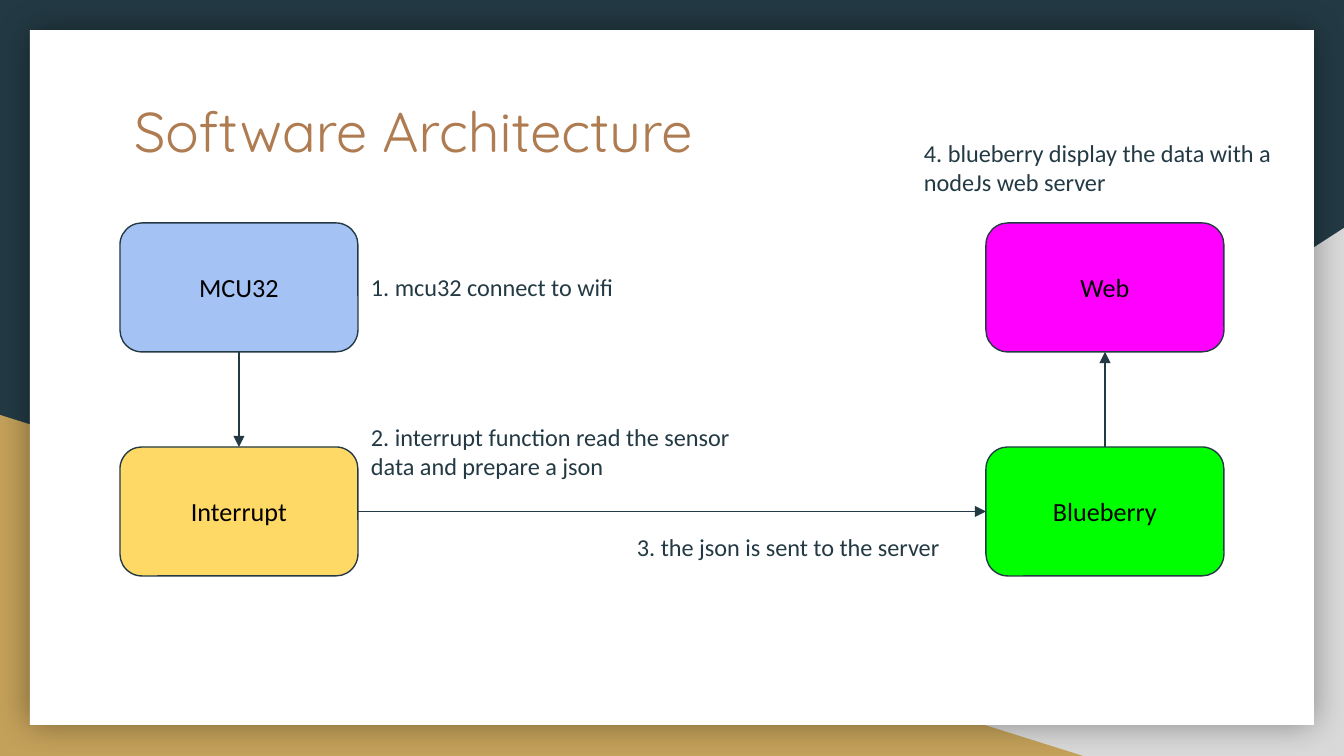
from lxml import etree
from pptx import Presentation
from pptx.dml.color import RGBColor
from pptx.enum.shapes import MSO_CONNECTOR, MSO_SHAPE
from pptx.enum.text import MSO_ANCHOR, MSO_AUTO_SIZE, PP_ALIGN
from pptx.oxml.ns import qn
from pptx.util import Emu, Pt

STRAIGHT = MSO_CONNECTOR.STRAIGHT
RECTANGLE = MSO_SHAPE.RECTANGLE
ROUNDED = MSO_SHAPE.ROUNDED_RECTANGLE
TRIANGLE = MSO_SHAPE.RIGHT_TRIANGLE
TOP, MIDDLE = MSO_ANCHOR.TOP, MSO_ANCHOR.MIDDLE
GROW, FIXED = MSO_AUTO_SIZE.SHAPE_TO_FIT_TEXT, MSO_AUTO_SIZE.NONE
LEFT, CENTER = PP_ALIGN.LEFT, PP_ALIGN.CENTER

SCALE = 914400 / 134.4
COLORS = {
    "navy": "233A44", "gray": "D9D9D9", "gold": "C4A15A", "white": "FFFFFF",
    "copper": "AF7B51", "black": "000000", "blue": "A4C2F4",
    "yellow": "FFD966", "green": "00FF00", "magenta": "FF00FF",
}
SIDE_TOP, SIDE_LEFT, SIDE_BOTTOM, SIDE_RIGHT = range(4)
COLUMNS, ROWS = (120, 986), (223, 447)
BOX_SIZE = (238, 129)
BOXES = [
    ("MCU32", 0, 0, "blue"),
    ("Interrupt", 0, 1, "yellow"),
    ("Blueberry", 1, 1, "green"),
    ("Web", 1, 0, "magenta"),
]
ARROWS = [
    ("MCU32", SIDE_BOTTOM, "Interrupt", SIDE_TOP),
    ("Interrupt", SIDE_RIGHT, "Blueberry", SIDE_LEFT),
    ("Blueberry", SIDE_TOP, "Web", SIDE_BOTTOM),
]
NOTES = [
    ("1. mcu32 connect to wifi", (358, 259, 387, 57)),
    ("2. interrupt function read the sensor data and prepare a json", (358, 409, 387, 86)),
    ("3. the json is sent to the server", (624, 519, 356, 57)),
    ("4. blueberry display the data with a nodeJs web server", (911, 125, 387, 86)),
]


def px(length):
    return Emu(round(length * SCALE))


def color(name):
    return RGBColor.from_string(COLORS[name])


def set_all(target, values):
    for name, value in values.items():
        setattr(target, name, value)


def write(shape, text, font, size, ink, align=LEFT, anchor=TOP, fit=FIXED):
    frame = shape.text_frame
    margins = {f"margin_{side}": px(13) for side in ("left", "top", "right", "bottom")}
    set_all(frame, {"word_wrap": True, "auto_size": fit, "vertical_anchor": anchor, **margins})
    para = frame.paragraphs[0]
    para.alignment = align
    span = para.add_run()
    span.text = text
    set_all(span.font, {"name": font, "size": Pt(size)})
    span.font.color.rgb = color(ink)


def add_filled(page, preset, bounds, fill):
    shape = page.shapes.add_shape(preset, *map(px, bounds))
    shape.shadow.inherit = False
    shape.fill.solid()
    shape.fill.fore_color.rgb = color(fill)
    shape.line.fill.background()
    return shape


def add_glow(shape):
    effects = shape.element.spPr.find(qn("a:effectLst"))
    shadow = etree.SubElement(effects, qn("a:outerShdw"), blurRad=str(Pt(18)), dist="0", dir="0",
                              algn="ctr", rotWithShape="0")
    ink = etree.SubElement(shadow, qn("a:srgbClr"), val=COLORS["black"])
    etree.SubElement(ink, qn("a:alpha"), val="40000")


def add_backdrop(page):
    page.background.fill.solid()
    page.background.fill.fore_color.rgb = color("navy")
    right_corner = add_filled(page, TRIANGLE, (527, 228, 817, 528), "gray")
    right_corner.element.spPr.find(qn("a:xfrm")).set("flipH", "1")
    left_corner = add_filled(page, TRIANGLE, (0, 415, 1083, 341), "gold")
    panel = add_filled(page, RECTANGLE, (30, 30, 1284, 695), "white")
    add_glow(panel)
    for shape in (right_corner, left_corner, panel):
        page.shapes.title.element.addprevious(shape.element)


def add_title(page, text):
    title = page.shapes.title
    bounds = zip(("left", "top", "width", "height"), map(px, (121, 83, 1103, 140)))
    set_all(title, dict(bounds))
    write(title, text, "Quicksand", 30, "copper")


def add_box(page, text, column, row, fill):
    box = add_filled(page, ROUNDED, (COLUMNS[column], ROWS[row], *BOX_SIZE), fill)
    box.adjustments[0] = 0.17
    box.line.color.rgb = color("navy")
    box.line.width = Pt(0.75)
    write(box, text, "Calibri", 14, "black", CENTER, MIDDLE)
    return box


def add_arrow(page, start, start_side, end, end_side):
    arrow = page.shapes.add_connector(STRAIGHT, 0, 0, 0, 0)
    arrow.begin_connect(start, start_side)
    arrow.end_connect(end, end_side)
    arrow.line.color.rgb = color("navy")
    arrow.line.width = Pt(0.75)
    etree.SubElement(arrow.line._get_or_add_ln(), qn("a:tailEnd"), type="triangle")
    etree.SubElement(arrow.element.spPr, qn("a:effectLst"))


def add_note(page, text, bounds):
    note = page.shapes.add_textbox(*map(px, bounds))
    write(note, text, "Calibri", 13, "navy", fit=GROW)


def main():
    deck = Presentation()
    set_all(deck, {"slide_width": px(1344), "slide_height": px(756)})
    page = deck.slides.add_slide(deck.slide_layouts[5])
    add_backdrop(page)
    add_title(page, "Software Architecture")
    boxes = {text: add_box(page, text, *place) for text, *place in BOXES}
    for start, start_side, end, end_side in ARROWS:
        add_arrow(page, boxes[start], start_side, boxes[end], end_side)
    for text, bounds in NOTES:
        add_note(page, text, bounds)
    deck.save("out.pptx")


if __name__ == "__main__":
    main()
